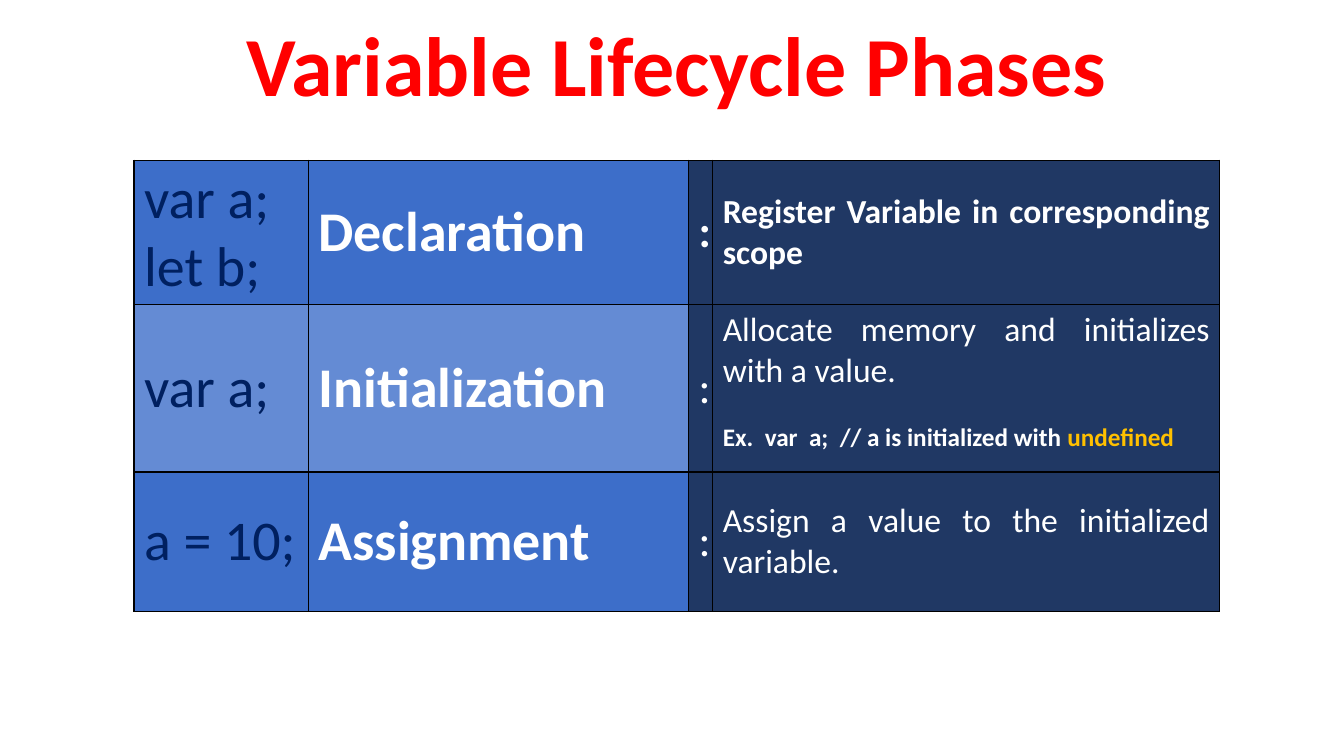
from lxml import etree
from pptx import Presentation
from pptx.dml.color import RGBColor
from pptx.enum import text
from pptx.oxml import ns
from pptx.util import Inches, Pt

COLORS = {
    "title": "FF0000",
    "code": "002060",
    "light": "FFFFFF",
    "accent": "FFC000",
    "blue": "3D6EC9",
    "pale blue": "648BD4",
    "navy": "203864",
    "border": "000000",
}
LEFT, CENTER, JUSTIFY = (
    text.PP_ALIGN.LEFT, text.PP_ALIGN.CENTER, text.PP_ALIGN.JUSTIFY)


def write(paragraph, words, size, color="light", bold=False, align=LEFT):
    paragraph.alignment = align
    run = paragraph.add_run()
    run.text = words
    run.font.name = "Calibri"
    run.font.size = Pt(size)
    run.font.bold = bold
    run.font.color.rgb = RGBColor.from_string(COLORS[color])


def style_cell(cell, fill):
    """Give the cell a solid fill and a thin border on all four sides."""
    properties = cell._tc.get_or_add_tcPr()
    for side in ("a:lnL", "a:lnR", "a:lnT", "a:lnB"):
        line = etree.SubElement(properties, ns.qn(side), w=str(Pt(1)))
        solid = etree.SubElement(line, ns.qn("a:solidFill"))
        etree.SubElement(solid, ns.qn("a:srgbClr"), val=COLORS["border"])
    cell.fill.solid()
    cell.fill.fore_color.rgb = RGBColor.from_string(COLORS[fill])


prs = Presentation()
prs.slide_width = Inches(13.33)
prs.slide_height = Inches(7.5)
slide = prs.slides.add_slide(prs.slide_layouts[6])

title = slide.shapes.add_textbox(
    Inches(0.49), Inches(0.15), Inches(12.44), Inches(1.08)).text_frame
title.word_wrap = True
title.vertical_anchor = text.MSO_ANCHOR.MIDDLE
title.paragraphs[0].line_spacing = 0.9
write(title.paragraphs[0], "Variable Lifecycle Phases", 60, "title", True, CENTER)

# Code lines, phase, meaning, row fill, row height
phases = [
    (["var a;", "let b;"], "Declaration",
     "Register Variable in corresponding scope", "blue", 1.38),
    (["var a;"], "Initialization",
     "Allocate memory and initializes with a value.", "pale blue", 1.66),
    (["a = 10;"], "Assignment",
     "Assign a value to the initialized variable.", "blue", 1.38),
]
column_widths = [1.73, 3.77, 0.23, 5.03]

lifecycle = slide.shapes.add_table(
    len(phases), len(column_widths),
    Inches(1.33), Inches(1.59), Inches(10.75), Inches(4.42)).table
lifecycle.first_row = False
lifecycle.horz_banding = False
for column, width in zip(lifecycle.columns, column_widths):
    column.width = Inches(width)

for index, (code, phase, meaning, fill, height) in enumerate(phases):
    row = lifecycle.rows[index]
    row.height = Inches(height)
    for cell, cell_fill in zip(row.cells, (fill, fill, "navy", "navy")):
        style_cell(cell, cell_fill)
        cell.vertical_anchor = text.MSO_ANCHOR.MIDDLE

    code_frame, phase_frame, colon_frame, meaning_frame = (
        cell.text_frame for cell in row.cells)
    first = index == 0
    write(code_frame.paragraphs[0], code[0], 40, "code")
    for code_line in code[1:]:
        write(code_frame.add_paragraph(), code_line, 40, "code")
    write(phase_frame.paragraphs[0], phase, 40, bold=True)
    write(colon_frame.paragraphs[0], ":", 32, bold=first,
          align=CENTER if first else LEFT)
    write(meaning_frame.paragraphs[0], meaning, 24, bold=first, align=JUSTIFY)

initialization = lifecycle.cell(1, 3)
initialization.vertical_anchor = text.MSO_ANCHOR.TOP
example = initialization.text_frame.add_paragraph()
example.space_before = Pt(22)
write(example, "Ex.  var  a;  // a is initialized with ", 18, bold=True, align=JUSTIFY)
write(example, "undefined", 18, "accent", True, JUSTIFY)

prs.save("out.pptx")
